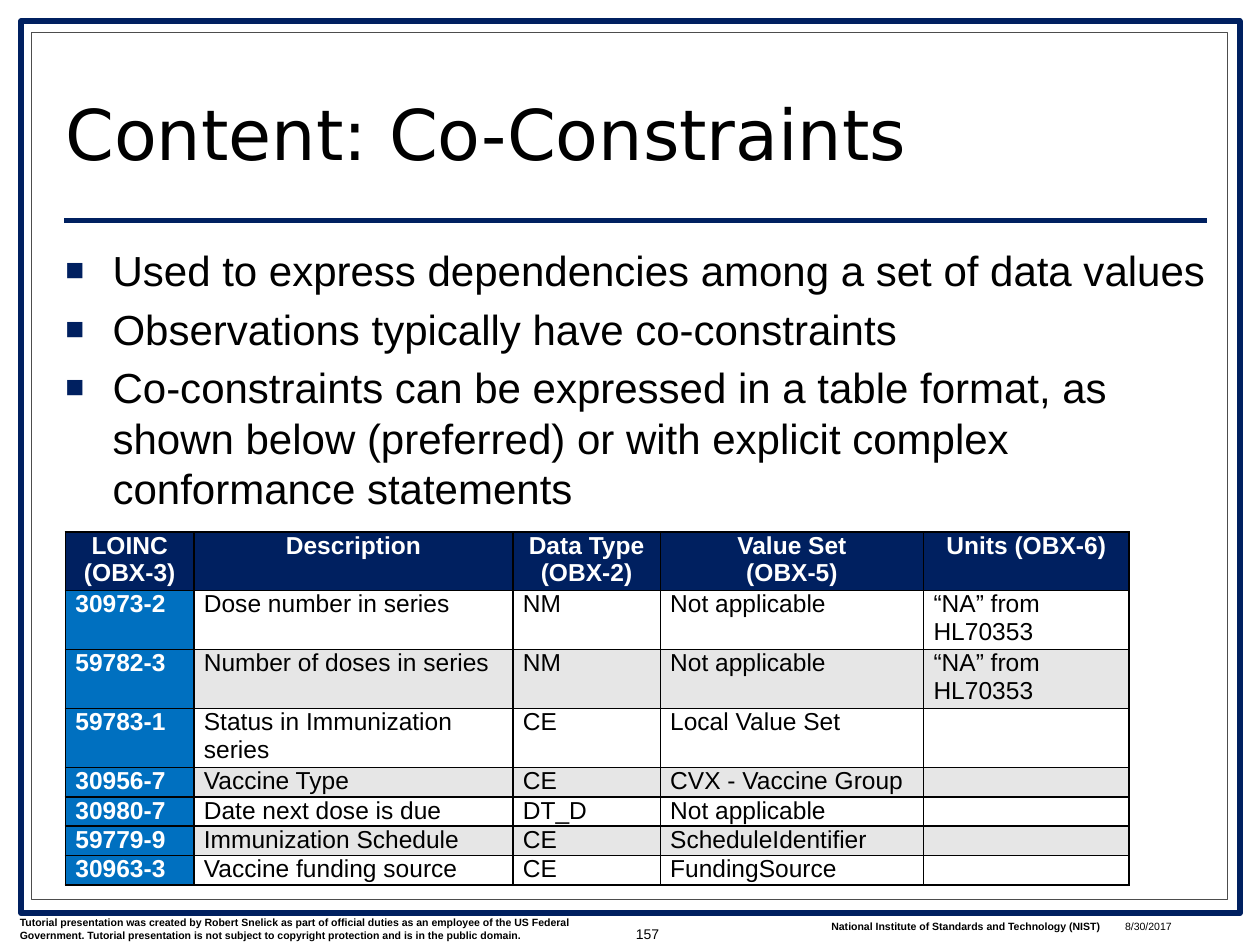
from lxml.etree import SubElement
from pptx import Presentation
from pptx.dml.color import RGBColor
from pptx.enum.shapes import MSO_CONNECTOR, MSO_SHAPE
from pptx.enum.text import MSO_ANCHOR, PP_ALIGN
from pptx.oxml.ns import qn
from pptx.util import Cm, Pt

NAVY, BLUE, GREY, WHITE, BLACK = "002060", "0070C0", "E6E6E6", "FFFFFF", "000000"

# Content
TITLE = "Content: Co-Constraints"
BULLETS = [
    "Used to express dependencies among a set of data values",
    "Observations typically have co-constraints",
    "Co-constraints can be expressed in a table format, as shown below "
    "(preferred) or with explicit complex conformance statements",
]
DISCLAIMER = (
    "Tutorial presentation was created by Robert Snelick as part of official "
    "duties as an employee of the US Federal Government. Tutorial presentation "
    "is not subject to copyright protection and is in the public domain."
)
INSTITUTE = "National Institute of Standards and Technology (NIST)"
ROWS = [
    ("LOINC\n(OBX-3)", "Description", "Data Type\n(OBX-2)", "Value Set\n(OBX-5)", "Units (OBX-6)"),
    ("30973-2", "Dose number in series", "NM", "Not applicable", "“NA” from HL70353"),
    ("59782-3", "Number of doses in series", "NM", "Not applicable", "“NA” from HL70353"),
    ("59783-1", "Status in Immunization series", "CE", "Local Value Set", ""),
    ("30956-7", "Vaccine Type", "CE", "CVX - Vaccine Group", ""),
    ("30980-7", "Date next dose is due", "DT_D", "Not applicable", ""),
    ("59779-9", "Immunization Schedule", "CE", "ScheduleIdentifier", ""),
    ("30963-3", "Vaccine funding source", "CE", "FundingSource", ""),
]
COLUMN_WIDTHS = [2.59, 6.43, 2.97, 5.31, 4.14]
LINE_HEIGHT = 0.56
TALL_ROWS = 4  # the first rows hold two lines of text

# Frames: left, top, width, height, line colour, line width
FRAMES = [
    (0.43, 0.43, 24.56, 17.98, NAVY, 3.5),
    (0.64, 0.66, 24.1, 17.48, "4D4D4D", 0.75),
]
# Single-paragraph texts: text, place, font, frame and paragraph formats
SMALL = {"size": Pt(6), "name": "Arial"}
TEXTS = [
    (TITLE, (1.07, 1.35, 23.29, 2.29), {"size": Pt(40), "name": "DejaVu Sans"},
     {"vertical_anchor": MSO_ANCHOR.BOTTOM}, {"line_spacing": 0.8}),
    (DISCLAIMER, (0.15, 18.34, 12.27, 0.76), {**SMALL, "bold": True}, {}, {}),
    (INSTITUTE, (16.51, 18.42, 6.05, 0.51), {**SMALL, "bold": True}, {}, {}),
    ("8/30/2017", (22.43, 18.42, 2.34, 0.43), SMALL, {}, {}),
    ("157", (12.07, 18.16, 1.47, 1.32), {"size": Pt(8), "name": "Arial"},
     {"vertical_anchor": MSO_ANCHOR.MIDDLE}, {"alignment": PP_ALIGN.RIGHT}),
]


def color(value):
    return RGBColor.from_string(value)


def apply(target, formats):
    for name, value in formats.items():
        setattr(target, name, value)


def write(para, text, font, ink=BLACK):
    para.text = text
    for span in para.runs:
        apply(span.font, font)
        span.font.color.rgb = color(ink)


def add_box(place, formats):
    box = page.shapes.add_textbox(*map(Cm, place))
    apply(box.text_frame, {"word_wrap": True, **formats})
    return box.text_frame


def add_bullet(para):
    properties = para._p.get_or_add_pPr()
    properties.set("marL", str(Cm(0.95)))
    properties.set("indent", str(-Cm(0.95)))
    tint = SubElement(properties, qn("a:buClr"))
    SubElement(tint, qn("a:srgbClr"), val=NAVY)
    SubElement(properties, qn("a:buSzPct"), val="75000")
    SubElement(properties, qn("a:buFont"), typeface="Arial")
    SubElement(properties, qn("a:buChar"), char="■")


def add_borders(cell):
    properties = cell._tc.get_or_add_tcPr()
    for position, side in enumerate(("a:lnL", "a:lnR", "a:lnT", "a:lnB")):
        edge = properties.makeelement(qn(side), {"w": str(Pt(1))})
        SubElement(SubElement(edge, qn("a:solidFill")), qn("a:srgbClr"), val=BLACK)
        properties.insert(position, edge)


deck = Presentation()
deck.slide_width, deck.slide_height = Cm(25.4), Cm(19.05)
page = deck.slides.add_slide(deck.slide_layouts[6])

# Double frame and the rule under the title
for left, top, width, height, ink, weight in FRAMES:
    frame = page.shapes.add_shape(MSO_SHAPE.RECTANGLE, *map(Cm, (left, top, width, height)))
    frame.shadow.inherit = False
    frame.fill.solid()
    frame.fill.fore_color.rgb = color(WHITE)
    frame.line.color.rgb = color(ink)
    frame.line.width = Pt(weight)

rule = page.shapes.add_connector(MSO_CONNECTOR.STRAIGHT, *map(Cm, (1.3, 4.45, 24.33, 4.45)))
rule.line.color.rgb = color(NAVY)
rule.line.width = Pt(3)
SubElement(rule._element.spPr, qn("a:effectLst"))

# Title and footer
for text, place, font, frame_formats, para_formats in TEXTS:
    para = add_box(place, frame_formats).paragraphs[0]
    write(para, text, font)
    apply(para, para_formats)

# Constraint table
table = page.shapes.add_table(
    len(ROWS), len(COLUMN_WIDTHS), Cm(1.32), Cm(10.72),
    Cm(sum(COLUMN_WIDTHS)), Cm(LINE_HEIGHT * (len(ROWS) + TALL_ROWS))).table
for column, width in zip(table.columns, COLUMN_WIDTHS):
    column.width = Cm(width)
for r, values in enumerate(ROWS):
    table.rows[r].height = Cm(LINE_HEIGHT * (2 if r < TALL_ROWS else 1))
    for c, text in enumerate(values):
        cell = table.cell(r, c)
        apply(cell, {"margin_left": Cm(0.2), "margin_right": Cm(0.2),
                     "margin_top": 0, "margin_bottom": 0})
        strong = r == 0 or c == 0
        fill = NAVY if r == 0 else BLUE if c == 0 else WHITE if r % 2 else GREY
        cell.fill.solid()
        cell.fill.fore_color.rgb = color(fill)
        add_borders(cell)
        para = cell.text_frame.paragraphs[0]
        write(para, text, {"size": Pt(14), "name": "Arial", "bold": strong},
              WHITE if strong else BLACK)
        para.space_after = Pt(6)
        if r == 0:
            para.alignment = PP_ALIGN.CENTER
        if not text:
            SubElement(para._p, qn("a:endParaRPr"), sz="1400")

# Bullet list
body = add_box((1.07, 4.8, 23.5, 5.77), {})
for index, text in enumerate(BULLETS):
    para = body.add_paragraph() if index else body.paragraphs[0]
    add_bullet(para)
    write(para, text, {"size": Pt(24), "name": "Arial"})
    if index:
        para.space_before = Pt(4.8)

deck.save("out.pptx")
